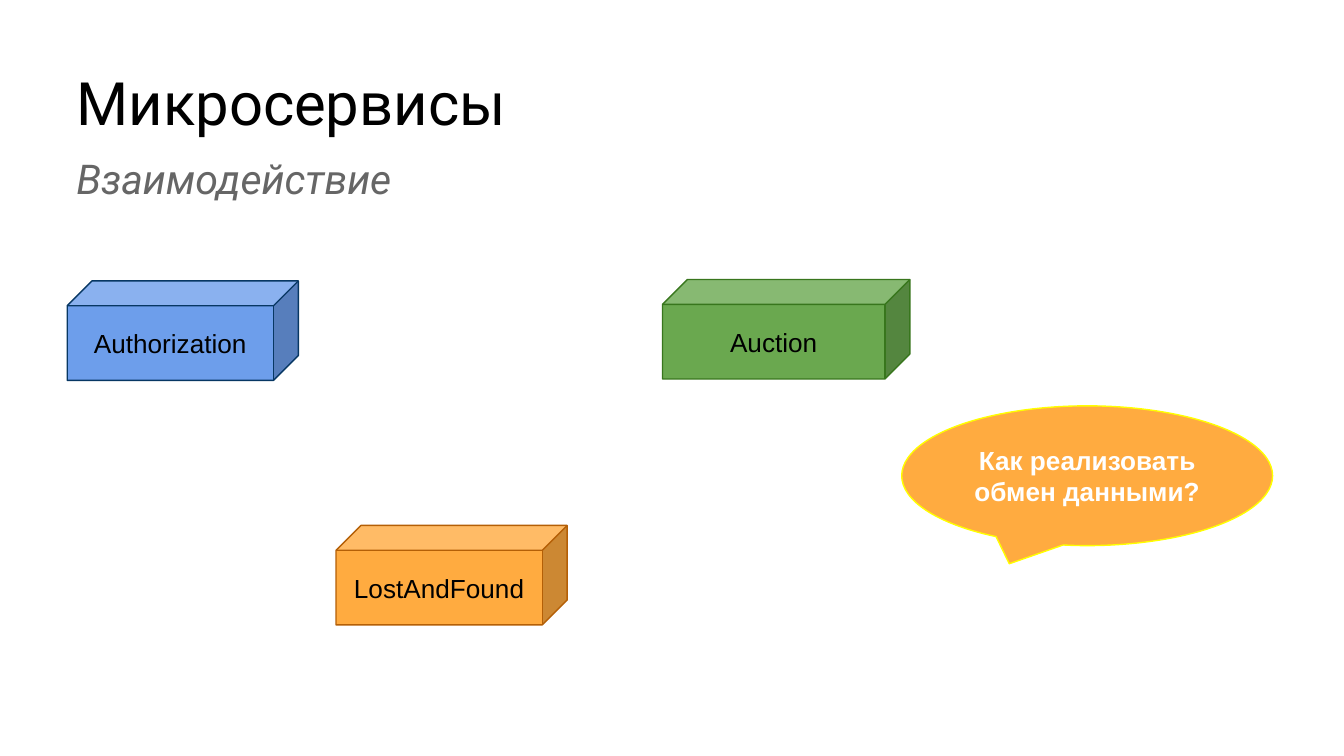
from dataclasses import dataclass

from pptx import Presentation
from pptx.dml.color import RGBColor
from pptx.enum.shapes import MSO_SHAPE
from pptx.enum.text import MSO_ANCHOR, MSO_AUTO_SIZE, PP_ALIGN
from pptx.util import Inches, Pt


@dataclass(frozen=True)
class Theme:
    heading_font: str = "Roboto"
    body_font: str = "Arial"
    title_size: int = 32
    subtitle_size: int = 22
    label_size: int = 14
    line_width: float = 0.75
    black: str = "000000"
    white: str = "FFFFFF"
    gray: str = "666666"
    blue: str = "6D9EEB"
    navy: str = "073763"
    orange: str = "FFAB40"
    brown: str = "B45F06"
    green: str = "6AA84F"
    dark_green: str = "38761D"
    yellow: str = "FFFF00"


THEME = Theme()
CUBE_HEIGHT = 0.74


def write_text(shape, text, font_name, size, color, alignment, anchor,
               bold=False, italic=False):
    frame = shape.text_frame
    frame.word_wrap = True
    frame.auto_size = MSO_AUTO_SIZE.NONE
    frame.vertical_anchor = anchor
    frame.margin_left = frame.margin_right = Inches(0.1)
    frame.margin_top = frame.margin_bottom = Inches(0.1)
    paragraph = frame.paragraphs[0]
    paragraph.text = text
    paragraph.alignment = alignment
    font = paragraph.font
    font.name = font_name
    font.size = Pt(size)
    font.bold = bold
    font.italic = italic
    font.color.rgb = RGBColor.from_string(color)


def add_headings(slide, title_text, subtitle_text):
    left, width = Inches(0.47), Inches(7.77)
    title = slide.shapes.title
    title.left, title.top = left, Inches(0.39)
    title.width, title.height = width, Inches(0.74)
    write_text(title, title_text, THEME.heading_font, THEME.title_size,
               THEME.black, PP_ALIGN.LEFT, MSO_ANCHOR.TOP)
    subtitle = slide.shapes.add_textbox(left, Inches(1.04), width, Inches(0.57))
    write_text(subtitle, subtitle_text, THEME.heading_font, THEME.subtitle_size,
               THEME.gray, PP_ALIGN.LEFT, MSO_ANCHOR.TOP, italic=True)


def add_labeled_shape(slide, kind, text, left, top, width, height, fill, line,
                      adjustments, color=THEME.black, bold=False):
    shape = slide.shapes.add_shape(
        kind, Inches(left), Inches(top), Inches(width), Inches(height))
    for index, value in enumerate(adjustments):
        shape.adjustments[index] = value
    shape.shadow.inherit = False
    shape.fill.solid()
    shape.fill.fore_color.rgb = RGBColor.from_string(fill)
    shape.line.color.rgb = RGBColor.from_string(line)
    shape.line.width = Pt(THEME.line_width)
    write_text(shape, text, THEME.body_font, THEME.label_size, color,
               PP_ALIGN.CENTER, MSO_ANCHOR.MIDDLE, bold=bold)


def add_service(slide, name, left, top, width, fill, line):
    add_labeled_shape(slide, MSO_SHAPE.CUBE, name, left, top, width,
                      CUBE_HEIGHT, fill, line, [0.25])


def add_question(slide, text):
    add_labeled_shape(slide, MSO_SHAPE.OVAL_CALLOUT, text, 6.71, 3.02, 2.76, 1.04,
                      THEME.orange, THEME.yellow, [-0.21, 0.63],
                      color=THEME.white, bold=True)


def main():
    presentation = Presentation()
    presentation.slide_width = Inches(10)
    presentation.slide_height = Inches(10 * 9 / 16)
    slide = presentation.slides.add_slide(presentation.slide_layouts[5])

    add_headings(slide, "Микросервисы", "Взаимодействие")
    services = [
        ("Authorization", 0.5, 2.09, 1.72, THEME.blue, THEME.navy),
        ("LostAndFound", 2.5, 3.91, 1.72, THEME.orange, THEME.brown),
        ("Auction", 4.93, 2.08, 1.84, THEME.green, THEME.dark_green),
    ]
    for service in services:
        add_service(slide, *service)
    add_question(slide, "Как реализовать обмен данными?")

    presentation.save("out.pptx")


if __name__ == "__main__":
    main()
